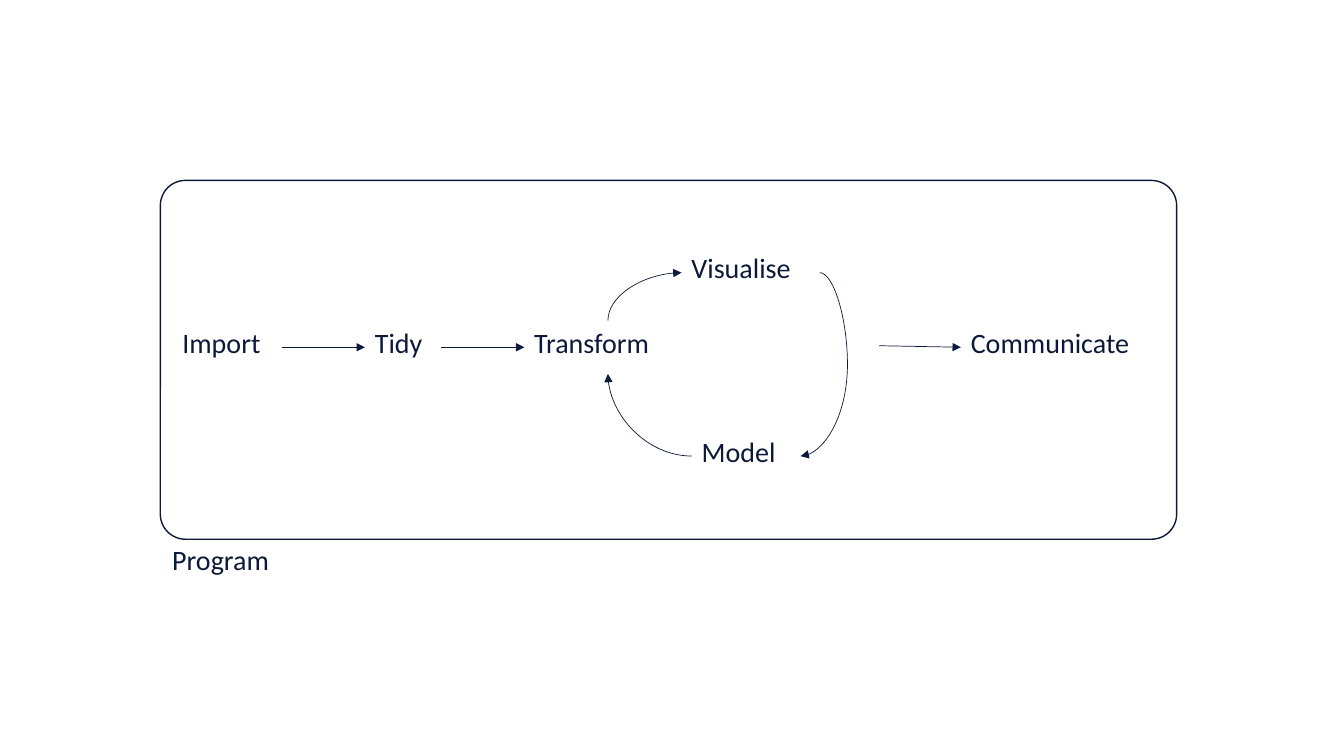
from dataclasses import dataclass

import pptx
import pptx.dml.color
import pptx.enum.shapes
import pptx.enum.text
import pptx.oxml
import pptx.oxml.ns
import pptx.util

PX = 9144  # 100 px to the inch
LABEL_HEIGHT = 53


@dataclass(frozen=True)
class Theme:
    ink: pptx.dml.color.RGBColor = pptx.dml.color.RGBColor(0x0C, 0x19, 0x38)
    font: str = "Calibri"
    text_size: int = 20
    arrow_width: float = 0.5
    frame_width: float = 1


THEME = Theme()


@dataclass(frozen=True)
class Box:
    x: int
    y: int
    w: int
    h: int

    @property
    def left(self):
        return self.x, self.y + self.h / 2

    @property
    def right(self):
        return self.x + self.w, self.y + self.h / 2

    @property
    def top(self):
        return self.x + self.w / 2, self.y

    @property
    def bottom(self):
        return self.x + self.w / 2, self.y + self.h


def emu(*lengths):
    return [pptx.util.Emu(round(length * PX)) for length in lengths]


def set_line(line, width):
    line.color.rgb = THEME.ink
    line.width = pptx.util.Pt(width)


def add_label(slide, text, box):
    tf = slide.shapes.add_textbox(*emu(box.x, box.y, box.w, box.h)).text_frame
    tf.word_wrap = True
    tf.auto_size = pptx.enum.text.MSO_AUTO_SIZE.SHAPE_TO_FIT_TEXT
    r = tf.paragraphs[0].add_run()
    r.text = text
    r.font.name = THEME.font
    r.font.size = pptx.util.Pt(THEME.text_size)
    r.font.color.rgb = THEME.ink


def add_arrow(slide, start, end, curve=None, bulge=None, upright=False):
    """Join two points; an upright curve leaves vertically, being turned by 90 degrees."""
    if upright:
        cx, cy = (start[0] + end[0]) / 2, (start[1] + end[1]) / 2
        start, end = [(cx + y - cy, cy - x + cx) for x, y in (start, end)]
    kinds = pptx.enum.shapes.MSO_CONNECTOR
    kind = kinds.CURVE if curve else kinds.STRAIGHT
    cxn = slide.shapes.add_connector(kind, *emu(*start, *end))
    set_line(cxn.line, THEME.arrow_width)
    spPr = cxn._element.spPr
    if upright:
        spPr.find(pptx.oxml.ns.qn("a:xfrm")).set("rot", str(90 * 60000))
    if curve:
        geometry = spPr.find(pptx.oxml.ns.qn("a:prstGeom"))
        geometry.set("prst", curve)
        if bulge is not None:
            guide = pptx.oxml.parse_xml(
                f'<a:gd {pptx.oxml.ns.nsdecls("a")} name="adj1" fmla="val {bulge}"/>')
            geometry.find(pptx.oxml.ns.qn("a:avLst")).append(guide)
    ns = pptx.oxml.ns.nsdecls("a")
    spPr.find(pptx.oxml.ns.qn("a:ln")).append(
        pptx.oxml.parse_xml(f'<a:tailEnd {ns} type="triangle"/>'))
    spPr.append(pptx.oxml.parse_xml(f"<a:effectLst {ns}/>"))


def add_workflow(slide, frame):
    def step(text, x, y, w):
        box = Box(frame.x + x, frame.y + y, w, LABEL_HEIGHT)
        add_label(slide, text, box)
        return box

    row = 139
    import_ = step("Import", 12, row, 109)
    tidy = step("Tidy", 203, row, 75)
    model = step("Model", 527, 247, 108)
    communicate = step("Communicate", 794, row, 202)
    transform = step("Transform", 361, row, 166)
    visualise = step("Visualise", 517, 65, 137)

    add_arrow(slide, import_.right, tidy.left)
    add_arrow(slide, tidy.right, transform.left)
    add_arrow(slide, transform.top, visualise.left, "curvedConnector2", upright=True)
    add_arrow(slide, visualise.right, model.right, "curvedConnector3", bulge=-144800)
    add_arrow(slide, model.left, transform.bottom, "curvedConnector2")
    add_arrow(slide, (frame.x + 713, frame.y + 164), communicate.left)


def add_program_frame(slide, frame):
    sp = slide.shapes.add_shape(
        pptx.enum.shapes.MSO_SHAPE.ROUNDED_RECTANGLE,
        *emu(frame.x, frame.y, frame.w, frame.h))
    sp.adjustments[0] = 0.07
    sp.shadow.inherit = False
    sp.fill.background()
    set_line(sp.line, THEME.frame_width)
    add_label(slide, "Program",
              Box(frame.x + 2, frame.y + frame.h - 2, 146, LABEL_HEIGHT))


def main():
    prs = pptx.Presentation()
    prs.slide_width, prs.slide_height = emu(1333, 750)
    slide = prs.slides.add_slide(prs.slide_layouts[6])
    frame = Box(159, 179, 1008, 356)
    add_workflow(slide, frame)
    add_program_frame(slide, frame)
    prs.save("out.pptx")


if __name__ == "__main__":
    main()
